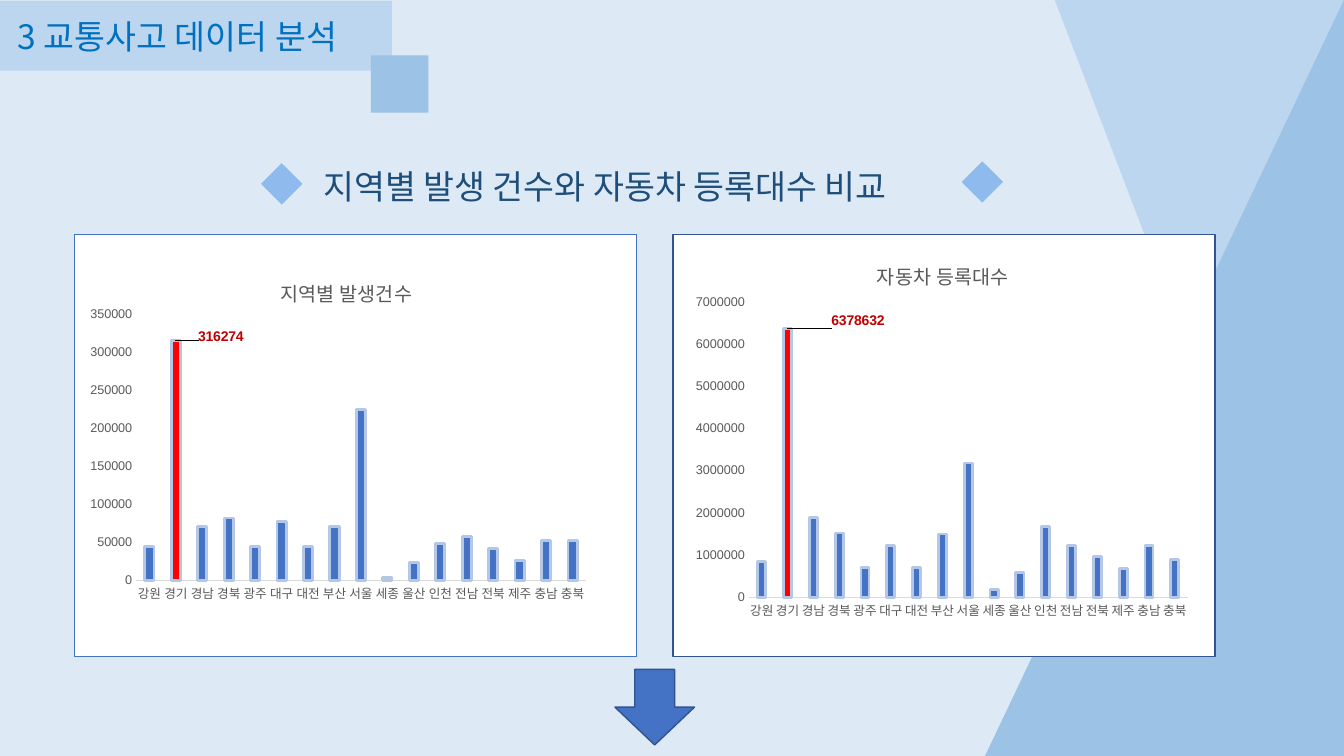
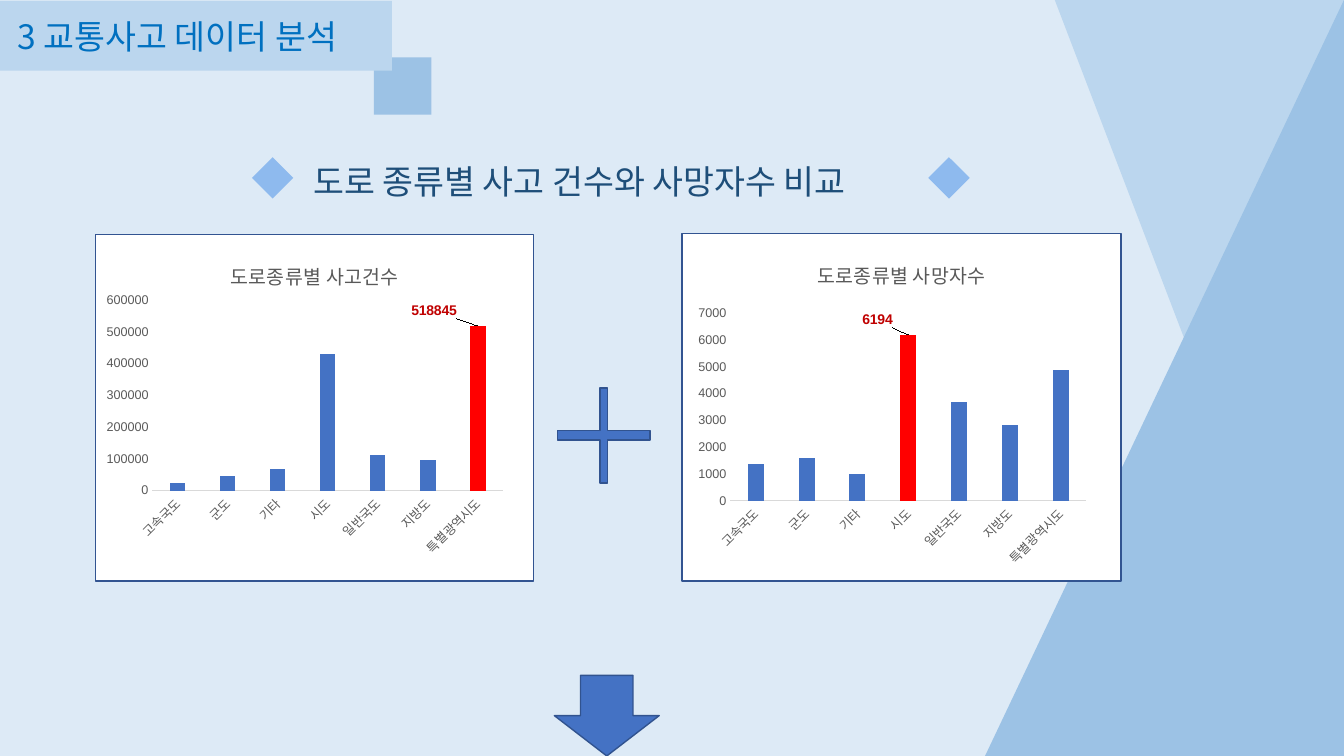
from lxml import etree
from pptx import Presentation
from pptx.chart.data import CategoryChartData
from pptx.dml.color import RGBColor
from pptx.enum import chart as ch, shapes as sh, text as tx
from pptx.oxml import parse_xml
from pptx.oxml.ns import nsdecls, qn
from pptx.util import Pt

# Colours and fonts
PALE = RGBColor(0xDD, 0xEA, 0xF6)
LIGHT = RGBColor(0xBB, 0xD6, 0xEE)
MID = RGBColor(0x9C, 0xC2, 0xE5)
GEM = RGBColor(0x8E, 0xBA, 0xEE)
BLUE = RGBColor(0x44, 0x72, 0xC4)
EDGE = RGBColor(0x31, 0x53, 0x8F)
FRAME = RGBColor(0x32, 0x54, 0x91)
HALO = RGBColor(0xB4, 0xC7, 0xE7)
TITLE = RGBColor(0x00, 0x70, 0xC0)
HEAD = RGBColor(0x1E, 0x4E, 0x79)
GREY = RGBColor(0x59, 0x59, 0x59)
RULE = RGBColor(0xD9, 0xD9, 0xD9)
RED = RGBColor(0xFF, 0x00, 0x00)
DARK = RGBColor(0xC0, 0x00, 0x00)
WHITE = RGBColor(0xFF, 0xFF, 0xFF)
LATIN, KOREAN = "Arial", "Noto Sans CJK KR"
KIND = sh.MSO_SHAPE

# Content: boxes are left, top, width, height in points
WIDE, HIGH = 960, 540
TOPIC = "3 교통사고 데이터 분석"
BANNER = (0, 0.7, 280, 49.7)
GEM_SIZE, BLOCK_SIZE = 29.5, 41
AREAS = ["강원", "경기", "경남", "경북", "광주", "대구", "대전", "부산", "서울",
         "세종", "울산", "인천", "전남", "전북", "제주", "충남", "충북"]
ROADS = ["고속국도", "군도", "기타", "시도", "일반국도", "지방도", "특별광역시도"]

PAGES = [
    dict(
        head="지역별 발생 건수와 자동차 등록대수 비교",
        box=(223.9, 115.2, 463, 36),
        gems=[(186.5, 116.6), (686.9, 115.2)],
        block=(265, 39.6), over=False,
        marks=[(KIND.DOWN_ARROW, (439.2, 478.1, 56.9, 54), None)],
        charts=[
            dict(name="지역별 발생건수", box=(52.6, 167, 402.5, 302.4), cats=AREAS,
                 vals=[45000, 316274, 71000, 82000, 45000, 78000, 45000, 71000, 225000,
                       4000, 24000, 49000, 58000, 42000, 26000, 53000, 53000],
                 top=350000, step=50000, gap=187, lap=-11, peak=1, halo=True, turn=0,
                 edge=BLUE, plot=(0.11, 0.19, 0.8, 0.63), at=(0.36, 0.09),
                 shift=(0.08, 0.02)),
            dict(name="자동차 등록대수", box=(480.2, 167, 388.1, 302.4), cats=AREAS,
                 vals=[850000, 6378632, 1890000, 1520000, 700000, 1230000, 700000,
                       1500000, 3180000, 180000, 580000, 1680000, 1230000, 970000,
                       680000, 1220000, 900000],
                 top=7000000, step=1000000, gap=219, lap=-27, peak=1, halo=True, turn=0,
                 edge=FRAME, plot=(0.14, 0.16, 0.81, 0.7), at=(0.37, 0.05),
                 shift=(0.13, 0.01)),
        ]),
    dict(
        head="도로 종류별 사고 건수와 사망자수 비교",
        box=(216.7, 111.6, 439.2, 36),
        gems=[(180, 112.3), (663.1, 112.3)],
        block=(267.1, 41), over=True,
        marks=[(KIND.CROSS, (398.2, 277.2, 66.2, 67.7), 0.46),
               (KIND.DOWN_ARROW, (396, 482.4, 74.9, 57.6), None)],
        charts=[
            dict(name="도로종류별 사고건수", box=(67.7, 167, 313.9, 248.4), cats=ROADS,
                 vals=[25717, 45609, 69796, 429924, 111013, 95880, 518845],
                 top=600000, step=100000, gap=219, lap=-7, peak=6, halo=False, turn=-45,
                 edge=FRAME, plot=(0.13, 0.19, 0.8, 0.55), at=(0.3, 0.06),
                 shift=(-0.1, -0.01)),
            dict(name="도로종류별 사망자수", box=(486.7, 166.3, 314.6, 249.1), cats=ROADS,
                 vals=[1393, 1595, 992, 6194, 3703, 2840, 4887],
                 top=7000, step=1000, gap=219, lap=-27, peak=3, halo=False, turn=-45,
                 edge=FRAME, plot=(0.11, 0.23, 0.81, 0.54), at=(0.3, 0.06),
                 shift=(-0.07, -0.01)),
        ]),
]


def pts(box):
    return [Pt(n) for n in box]


def style(font, size, color, name=LATIN, **more):
    form = dict(size=Pt(size), name=name, **more)
    for key, val in form.items():
        setattr(font, key, val)
    font.color.rgb = color


def paint(part, fill, line=None, width=1):
    part.fill.solid()
    part.fill.fore_color.rgb = fill
    if line is None:
        part.line.fill.background()
    else:
        part.line.color.rgb = line
        part.line.width = Pt(width)


def draw(page, kind, box, fill, line=None):
    shape = page.shapes.add_shape(kind, *pts(box))
    shape.shadow.inherit = False
    paint(shape, fill, line)
    return shape


def write(frame, words, color, name):
    para = frame.paragraphs[0]
    para.alignment = tx.PP_ALIGN.LEFT
    run = para.add_run()
    run.text = words
    style(run.font, 24, color, name)
    east = etree.SubElement(run.font._element, qn("a:ea"))
    east.set("typeface", KOREAN)


def place(spots, edge=True, inner=False):
    """Manual chart layout, as shares of the chart's size."""
    rows = ['<c:layoutTarget val="inner"/>'] if inner else []
    if edge:
        rows += ['<c:xMode val="edge"/>', '<c:yMode val="edge"/>']
    rows += [f'<c:{key} val="{val}"/>' for key, val in zip("xywh", spots)]
    return parse_xml(f'<c:layout {nsdecls("c")}><c:manualLayout>'
                     f'{"".join(rows)}</c:manualLayout></c:layout>')


def fresh(node):
    for old in node.findall(qn("c:layout")):
        node.remove(old)
    return node


def label(series, spec):
    series.data_labels.show_value = False
    tag = series.points[spec["peak"]].data_label
    style(tag.font, 10, DARK, bold=True)
    tag.position = ch.XL_LABEL_POSITION.OUTSIDE_END
    group = series.data_labels._element
    node = fresh(group.find(qn("c:dLbl")))
    node.find(qn("c:idx")).addnext(place(spec["shift"], edge=False))
    # Leader line from the label to its column
    lead = group.find(qn("c:showLeaderLines"))
    if lead is None:
        lead = etree.SubElement(group, qn("c:showLeaderLines"))
    lead.set("val", "1")


def graph(page, spec):
    data = CategoryChartData()
    data.categories = spec["cats"]
    data.add_series("Series 1", spec["vals"])
    chart = page.shapes.add_chart(ch.XL_CHART_TYPE.COLUMN_CLUSTERED,
                                  *pts(spec["box"]), data).chart
    style(chart.font, 9, GREY)
    chart.has_legend = False

    # Title, plot and frame
    chart.has_title = True
    para = chart.chart_title.text_frame.paragraphs[0]
    run = para.add_run()
    run.text = spec["name"]
    style(run.font, 14, GREY, bold=False)
    node = fresh(chart.chart_title._element)
    node.find(qn("c:tx")).addnext(place(spec["at"]))
    root = chart._chartSpace
    area = fresh(root.find(".//" + qn("c:plotArea")))
    area.insert(0, place(spec["plot"], inner=True))
    root.find(qn("c:chart")).addnext(parse_xml(
        f'<c:spPr {nsdecls("c", "a")}>'
        f'<a:solidFill><a:srgbClr val="{WHITE}"/></a:solidFill><a:ln w="{Pt(1)}">'
        f'<a:solidFill><a:srgbClr val="{spec["edge"]}"/></a:solidFill></a:ln></c:spPr>'))

    # Axes
    cat, val = chart.category_axis, chart.value_axis
    for axis in (cat, val):
        axis.has_major_gridlines = False
        axis.major_tick_mark = axis.minor_tick_mark = ch.XL_TICK_MARK.NONE
        style(axis.tick_labels.font, 9, GREY)
    cat.format.line.color.rgb = RULE
    cat.format.line.width = Pt(0.75)
    body = cat._element.find(qn("c:txPr")).find(qn("a:bodyPr"))
    body.set("rot", str(spec["turn"] * 60000))
    val.format.line.fill.background()
    val.minimum_scale, val.maximum_scale = 0, spec["top"]
    val.major_unit = spec["step"]
    val.tick_labels.number_format = "General"
    val.tick_labels.number_format_is_linked = False

    # Columns
    plot = chart.plots[0]
    plot.vary_by_categories = False
    plot.gap_width, plot.overlap = spec["gap"], spec["lap"]
    series = plot.series[0]
    line = HALO if spec["halo"] else None
    paint(series.format, BLUE, line, 2)
    paint(series.points[spec["peak"]].format, RED, line, 2)
    label(series, spec)


def backdrop(deck, layout, page):
    """Put the background and its two triangles behind every slide."""
    fill = deck.slide_master.background.fill
    fill.solid()
    fill.fore_color.rgb = PALE
    for box, turn, color in [((753.4, 0, 206.6, HIGH), 180, LIGHT),
                             ((561.8, 141.8, HIGH, 256.4), 270, MID)]:
        wedge = draw(page, KIND.RIGHT_TRIANGLE, box, color)
        wedge.rotation = turn
        layout.shapes._spTree.append(wedge._element)


def banner(page, spec):
    title = page.shapes.title
    title.left, title.top, title.width, title.height = pts(BANNER)
    paint(title, LIGHT)
    frame = title.text_frame
    frame.vertical_anchor = tx.MSO_ANCHOR.MIDDLE
    frame.margin_left = Pt(12.5)
    write(frame, TOPIC, TITLE, KOREAN)
    draw(page, KIND.RECTANGLE, (*spec["block"], BLOCK_SIZE, BLOCK_SIZE), MID)
    if spec["over"]:
        page.shapes._spTree.append(title._element)


def build(page, spec):
    banner(page, spec)
    for spot in spec["gems"]:
        draw(page, KIND.DIAMOND, (*spot, GEM_SIZE, GEM_SIZE), GEM)
    frame = page.shapes.add_textbox(*pts(spec["box"])).text_frame
    frame.word_wrap = True
    write(frame, spec["head"], HEAD, LATIN)
    for kind, box, bend in spec["marks"]:
        mark = draw(page, kind, box, BLUE, EDGE)
        if bend is not None:
            mark.adjustments[0] = bend
    for item in spec["charts"]:
        graph(page, item)


def main():
    deck = Presentation()
    deck.slide_width, deck.slide_height = Pt(WIDE), Pt(HIGH)
    layout = deck.slide_layouts[5]
    for num, spec in enumerate(PAGES):
        page = deck.slides.add_slide(layout)
        if num == 0:
            backdrop(deck, layout, page)
        build(page, spec)
    deck.save("out.pptx")


if __name__ == "__main__":
    main()
